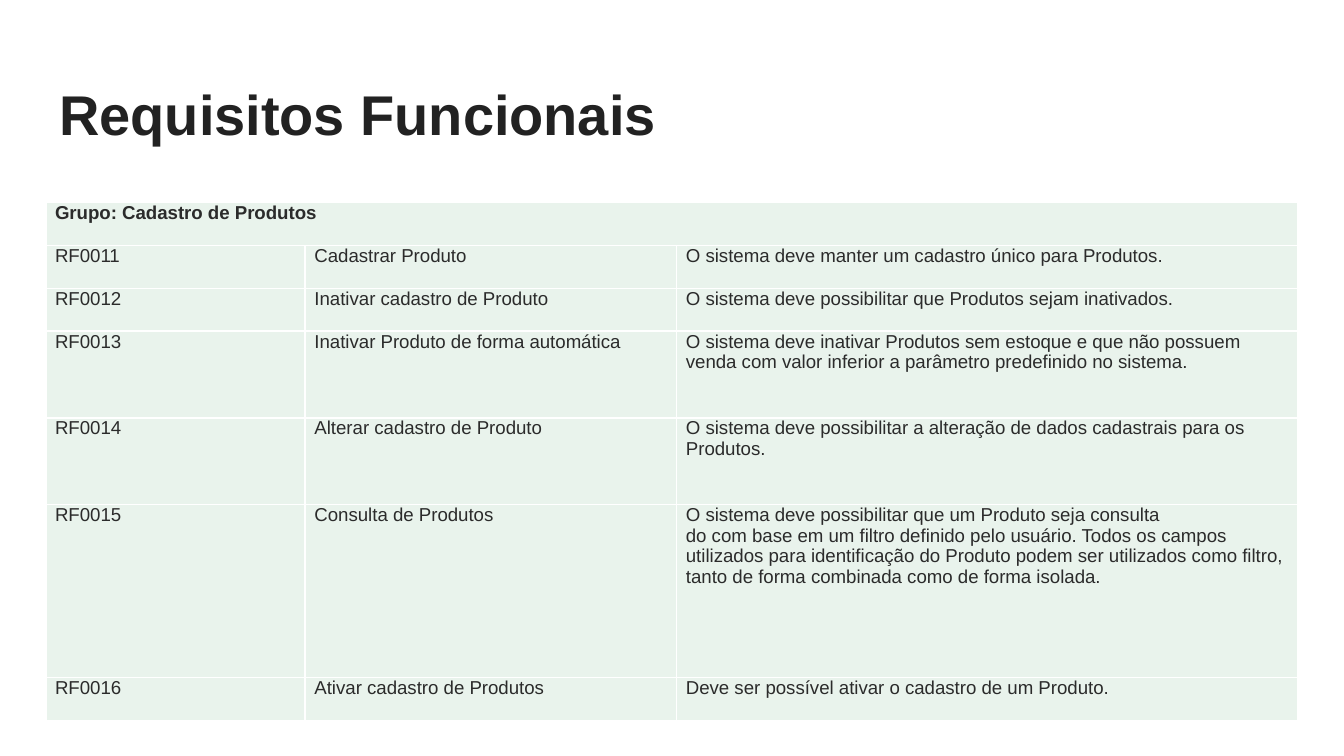
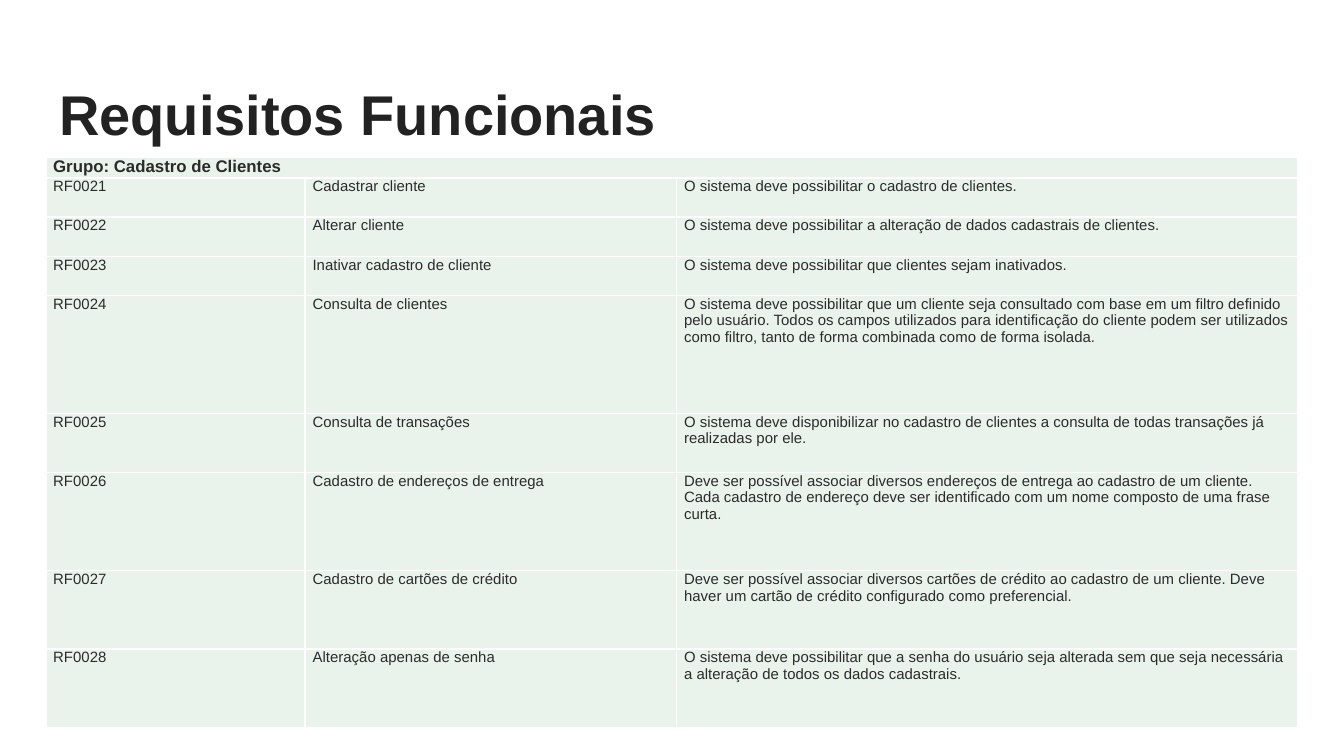
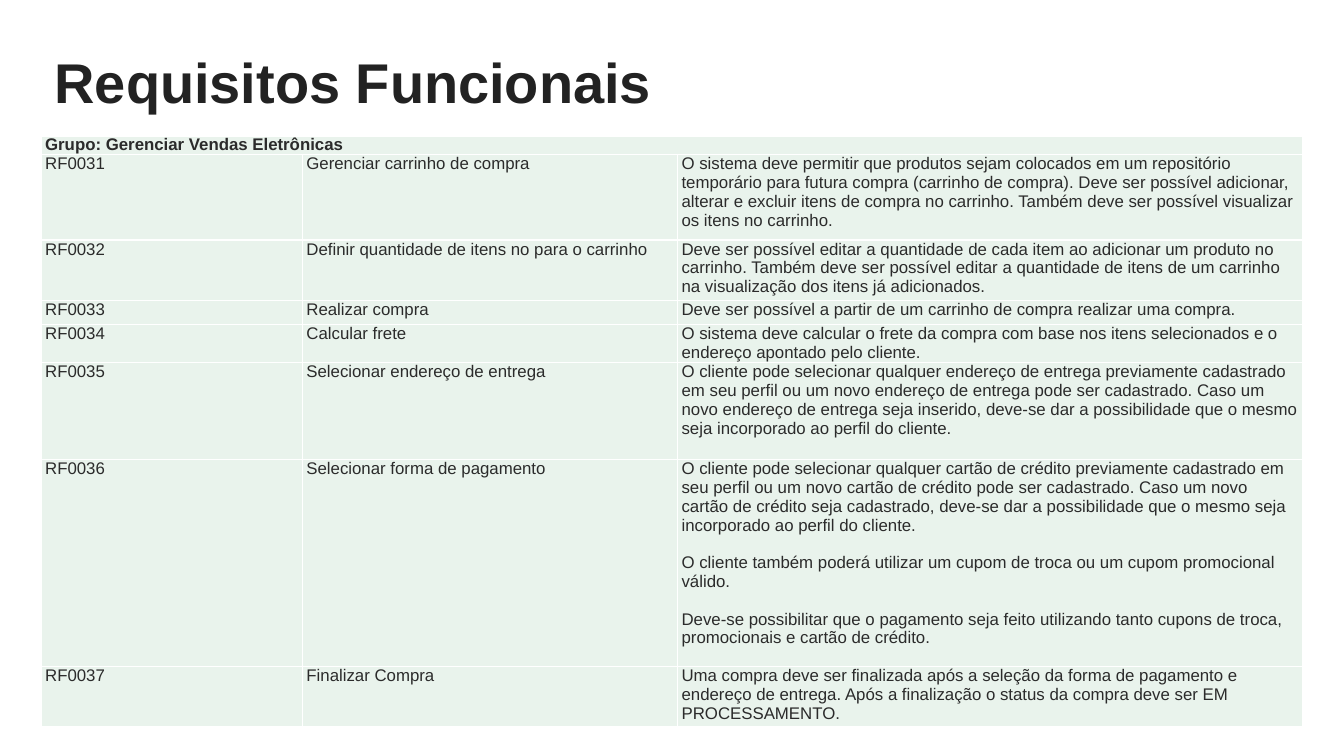
import pptx
import pptx.util
import pptx.dml.color
import pptx.enum.text
import pptx.oxml
import pptx.oxml.ns

Pt = pptx.util.Pt
COLORS = {"title": "222222", "text": "2B2B2B", "cell": "E9F3EC", "border": "FFFFFF"}
FONT = "Arial"
TITLE = "Requisitos Funcionais"

# One entry per slide; a description with several paragraphs is split by "\n"
groups = [
    {
        "name": "Grupo: Cadastro de Produtos",
        "title_at": (24.5, 32.4),
        "table_at": (24.5, 108.5),
        "columns": (139, 199, 333),
        "heights": (23, 23, 23, 46.4, 46.4, 92.7, 23),
        "margin": 5, "group_size": 10, "size": 10, "paragraph_gap": 0,
        "requirements": [
            ("RF0011", "Cadastrar Produto",
             "O sistema deve manter um cadastro único para Produtos."),
            ("RF0012", "Inativar cadastro de Produto",
             "O sistema deve possibilitar que Produtos sejam inativados."),
            ("RF0013", "Inativar Produto de forma automática",
             "O sistema deve inativar Produtos sem estoque e que não possuem venda com "
             "valor inferior a parâmetro predefinido no sistema."),
            ("RF0014", "Alterar cadastro de Produto",
             "O sistema deve possibilitar a alteração de dados cadastrais para os Produtos."),
            ("RF0015", "Consulta de Produtos",
             "O sistema deve possibilitar que um Produto seja consulta\n"
             "do com base em um filtro definido pelo usuário. Todos os campos utilizados "
             "para identificação do Produto podem ser utilizados como filtro, tanto de "
             "forma combinada como de forma isolada."),
            ("RF0016", "Ativar cadastro de Produtos",
             "Deve ser possível ativar o cadastro de um Produto."),
        ],
    },
    {
        "name": "Grupo: Cadastro de Clientes",
        "title_at": (24.5, 32.4),
        "table_at": (24.5, 84.4),
        "columns": (139, 199, 333),
        "heights": (11, 21, 21, 21, 63.2, 31.6, 52.6, 42.1, 42.1),
        "margin": 4, "group_size": 9, "size": 8, "paragraph_gap": 0,
        "requirements": [
            ("RF0021", "Cadastrar cliente",
             "O sistema deve possibilitar o cadastro de clientes."),
            ("RF0022", "Alterar cliente",
             "O sistema deve possibilitar a alteração de dados cadastrais de clientes."),
            ("RF0023", "Inativar cadastro de cliente",
             "O sistema deve possibilitar que clientes sejam inativados."),
            ("RF0024", "Consulta de clientes",
             "O sistema deve possibilitar que um cliente seja consultado com base em um "
             "filtro definido pelo usuário. Todos os campos utilizados para identificação "
             "do cliente podem ser utilizados como filtro, tanto de forma combinada como "
             "de forma isolada."),
            ("RF0025", "Consulta de transações",
             "O sistema deve disponibilizar no cadastro de clientes a consulta de todas "
             "transações já realizadas por ele."),
            ("RF0026", "Cadastro de endereços de entrega",
             "Deve ser possível associar diversos endereços de entrega ao cadastro de um "
             "cliente. Cada cadastro de endereço deve ser identificado com um nome "
             "composto de uma frase curta."),
            ("RF0027", "Cadastro de cartões de crédito",
             "Deve ser possível associar diversos cartões de crédito ao cadastro de um "
             "cliente. Deve haver um cartão de crédito configurado como preferencial."),
            ("RF0028", "Alteração apenas de senha",
             "O sistema deve possibilitar que a senha do usuário seja alterada sem que "
             "seja necessária a alteração de todos os dados cadastrais."),
        ],
    },
    {
        "name": "Grupo: Gerenciar Vendas Eletrônicas",
        "title_at": (22, 15.2),
        "table_at": (22, 72.7),
        "columns": (140, 201, 335),
        "heights": (9.5, 45.7, 32.4, 13, 20.3, 52, 111, 32.4),
        "margin": 2.2, "group_size": 9, "size": 9, "paragraph_gap": 10,
        "requirements": [
            ("RF0031", "Gerenciar carrinho de compra",
             "O sistema deve permitir que produtos sejam colocados em um repositório "
             "temporário para futura compra (carrinho de compra). Deve ser possível "
             "adicionar, alterar e excluir itens de compra no carrinho. Também deve ser "
             "possível visualizar os itens no carrinho."),
            ("RF0032", "Definir quantidade de itens no para o carrinho",
             "Deve ser possível editar a quantidade de cada item ao adicionar um produto "
             "no carrinho. Também deve ser possível editar a quantidade de itens de um "
             "carrinho na visualização dos itens já adicionados."),
            ("RF0033", "Realizar compra",
             "Deve ser possível a partir de um carrinho de compra realizar uma compra."),
            ("RF0034", "Calcular frete",
             "O sistema deve calcular o frete da compra com base nos itens selecionados e "
             "o endereço apontado pelo cliente."),
            ("RF0035", "Selecionar endereço de entrega",
             "O cliente pode selecionar qualquer endereço de entrega previamente "
             "cadastrado em seu perfil ou um novo endereço de entrega pode ser "
             "cadastrado. Caso um novo endereço de entrega seja inserido, deve-se dar a "
             "possibilidade que o mesmo seja incorporado ao perfil do cliente."),
            ("RF0036", "Selecionar forma de pagamento",
             "O cliente pode selecionar qualquer cartão de crédito previamente cadastrado "
             "em seu perfil ou um novo cartão de crédito pode ser cadastrado. Caso um "
             "novo cartão de crédito seja cadastrado, deve-se dar a possibilidade que o "
             "mesmo seja incorporado ao perfil do cliente.\n"
             "O cliente também poderá utilizar um cupom de troca ou um cupom promocional "
             "válido.\n"
             "Deve-se possibilitar que o pagamento seja feito utilizando tanto cupons de "
             "troca, promocionais e cartão de crédito."),
            ("RF0037", "Finalizar Compra",
             "Uma compra deve ser finalizada após a seleção da forma de pagamento e "
             "endereço de entrega. Após a finalização o status da compra deve ser EM "
             "PROCESSAMENTO."),
        ],
    },
]


def format_text(frame, size, color, bold, gap=0):
    for index, paragraph in enumerate(frame.paragraphs):
        paragraph.alignment = pptx.enum.text.PP_ALIGN.LEFT
        if index and gap:
            paragraph.space_before = Pt(gap)
        for run in paragraph.runs:
            run.font.name = FONT
            run.font.size = Pt(size)
            run.font.bold = bold
            run.font.color.rgb = pptx.dml.color.RGBColor.from_string(COLORS[color])


def format_cell(cell, margin):
    cell.margin_left = cell.margin_right = Pt(margin)
    cell.margin_top = cell.margin_bottom = 0
    properties = cell._tc.get_or_add_tcPr()
    for side in ("lnL", "lnR", "lnT", "lnB"):
        properties.append(pptx.oxml.parse_xml(
            f'<a:{side} {pptx.oxml.ns.nsdecls("a")} w="{Pt(1)}"><a:solidFill>'
            f'<a:srgbClr val="{COLORS["border"]}"/></a:solidFill></a:{side}>'))
    cell.fill.solid()
    cell.fill.fore_color.rgb = pptx.dml.color.RGBColor.from_string(COLORS["cell"])


presentation = pptx.Presentation()
presentation.slide_width = Pt(720)
presentation.slide_height = Pt(405)

for group in groups:
    slide = presentation.slides.add_slide(presentation.slide_layouts[5])

    # Title
    title = slide.shapes.title
    title.left, title.top = (Pt(value) for value in group["title_at"])
    title.width, title.height = Pt(671), Pt(47.5)
    heading = title.text_frame
    heading.text = TITLE
    heading.auto_size = pptx.enum.text.MSO_AUTO_SIZE.NONE
    heading.vertical_anchor = pptx.enum.text.MSO_ANCHOR.TOP
    heading.margin_left = heading.margin_right = Pt(7.2)
    heading.margin_top, heading.margin_bottom = Pt(10), Pt(3)
    format_text(heading, 30, "title", True)

    # Requirements table
    left, top = group["table_at"]
    requirements = slide.shapes.add_table(
        len(group["heights"]), len(group["columns"]), Pt(left), Pt(top),
        Pt(sum(group["columns"])), Pt(sum(group["heights"]))).table
    requirements.first_row = False
    requirements.horz_banding = False
    for column, width in zip(requirements.columns, group["columns"]):
        column.width = Pt(width)
    for row, height in zip(requirements.rows, group["heights"]):
        row.height = Pt(height)
    for cell in requirements.iter_cells():
        format_cell(cell, group["margin"])

    # Group name across the first row
    group_name = requirements.cell(0, 0)
    group_name.merge(requirements.cell(0, 2))
    group_name.text_frame.text = group["name"]
    format_text(group_name.text_frame, group["group_size"], "text", True)

    # Code, name and description of each requirement
    for row_index, requirement in enumerate(group["requirements"], start=1):
        for column_index, wording in enumerate(requirement):
            frame = requirements.cell(row_index, column_index).text_frame
            frame.text = wording
            format_text(frame, group["size"], "text", False, group["paragraph_gap"])

presentation.save("out.pptx")
